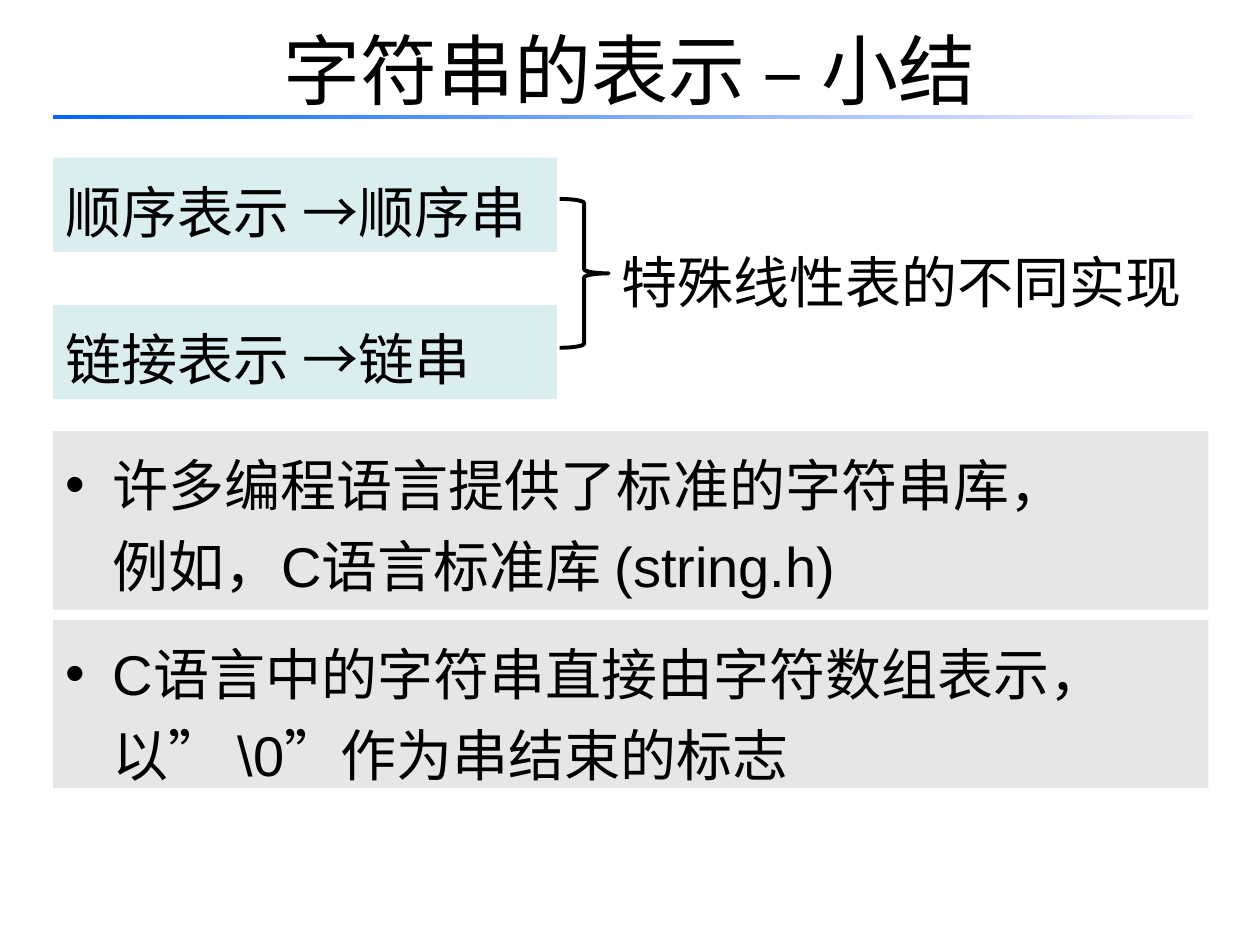
"""Build the summary slide on string representations."""
import pptx
import pptx.dml.color
import pptx.enum.shapes
import pptx.enum.text
import pptx.oxml
import pptx.oxml.ns
import pptx.util

Cm = pptx.util.Cm

TITLE = "字符串的表示 – 小结"
FORMS = ["顺序表示 →顺序串", "链接表示 →链串"]
CONCLUSION = "特殊线性表的不同实现"
NOTES = [
    (8.69, 3.6, ["许多编程语言提供了标准的字符串库，", "例如，C语言标准库 (string.h)"]),
    (12.5, 3.39, ["C语言中的字符串直接由字符数组表示，", "以” \\0”作为串结束的标志"]),
]

THEME = {
    "font": "Arial",
    "title_size": 44,
    "text_size": 32,
    "ink": "000000",
    "form": "DAEDEF",
    "note": "E6E6E6",
    "rule": ("0066FF", "F7EFFF"),
}
LEFT = 1.07
FORM_TOP, FORM_STEP = 3.18, 2.97
HANGING = 0.95


def rgb(name):
    return pptx.dml.color.RGBColor.from_string(THEME[name])


def place(shape, left, top, width, height):
    shape.left, shape.top = Cm(left), Cm(top)
    shape.width, shape.height = Cm(width), Cm(height)


def paint(shape, color):
    shape.fill.solid()
    shape.fill.fore_color.rgb = rgb(color)


def add_plain_shape(page, kind, *bounds):
    shape = page.shapes.add_shape(kind, *map(Cm, bounds))
    shape.shadow.inherit = False
    return shape


def set_bullet(para, bulleted):
    properties = para._p.get_or_add_pPr()
    properties.set("marL", str(Cm(HANGING)))
    properties.set("indent", str(Cm(-HANGING if bulleted else 0)))
    tag = 'buChar char="•"' if bulleted else "buNone"
    namespace = pptx.oxml.ns.nsdecls("a")
    properties.append(pptx.oxml.parse_xml(f"<a:{tag} {namespace}/>"))


def write(shape, lines, size="text_size", spacing=1.2, bullets=False, anchor="TOP", align="LEFT"):
    frame = shape.text_frame
    frame.word_wrap = True
    frame.auto_size = pptx.enum.text.MSO_AUTO_SIZE.NONE
    frame.vertical_anchor = getattr(pptx.enum.text.MSO_ANCHOR, anchor)
    frame.text = "\n".join(lines)
    for index, para in enumerate(frame.paragraphs):
        if bullets:
            set_bullet(para, index == 0)
        para.alignment = getattr(pptx.enum.text.PP_ALIGN, align)
        para.line_spacing = spacing
        para.space_before = pptx.util.Pt(0)
        para.font.name = THEME["font"]
        para.font.size = pptx.util.Pt(THEME[size])
        para.font.color.rgb = rgb("ink")


def add_rule(page):
    rule = add_plain_shape(page, pptx.enum.shapes.MSO_SHAPE.RECTANGLE, LEFT, 2.31, 22.99, 0.1)
    rule.line.fill.background()
    rule.fill.gradient()
    rule.fill.gradient_angle = 0
    for stop, position, color in zip(rule.fill.gradient_stops, (0, 1), THEME["rule"]):
        stop.position = position
        stop.color.rgb = pptx.dml.color.RGBColor.from_string(color)


def add_forms(page):
    shapes = pptx.enum.shapes.MSO_SHAPE
    for index, text in enumerate(FORMS):
        box = add_plain_shape(page, shapes.RECTANGLE, LEFT, FORM_TOP + index * FORM_STEP, 10.16, 1.9)
        box.line.fill.background()
        paint(box, "form")
        write(box, [text])
    brace = add_plain_shape(page, shapes.LEFT_BRACE, 11.28, 4.01, 0.99, 3)
    brace.rotation = 180
    brace.fill.background()
    brace.line.color.rgb = rgb("ink")
    brace.line.width = pptx.util.Pt(2.25)
    conclusion = page.shapes.add_textbox(Cm(12.27), Cm(4.45), Cm(12.9), Cm(1.9))
    write(conclusion, [CONCLUSION], spacing=1.3)


def main():
    deck = pptx.Presentation()
    deck.slide_width, deck.slide_height = Cm(25.4), Cm(19.05)
    page = deck.slides.add_slide(deck.slide_layouts.get_by_name("Two Content"))
    title, *bodies = page.placeholders
    place(title, 1.27, -0.2, 22.86, 3.18)
    write(title, [TITLE], size="title_size", spacing=1.0, anchor="MIDDLE", align="CENTER")
    add_rule(page)
    add_forms(page)
    for body, (top, height, lines) in zip(bodies, NOTES):
        place(body, LEFT, top, 23.29, height)
        paint(body, "note")
        write(body, lines, bullets=True)
    deck.save("out.pptx")


if __name__ == "__main__":
    main()
